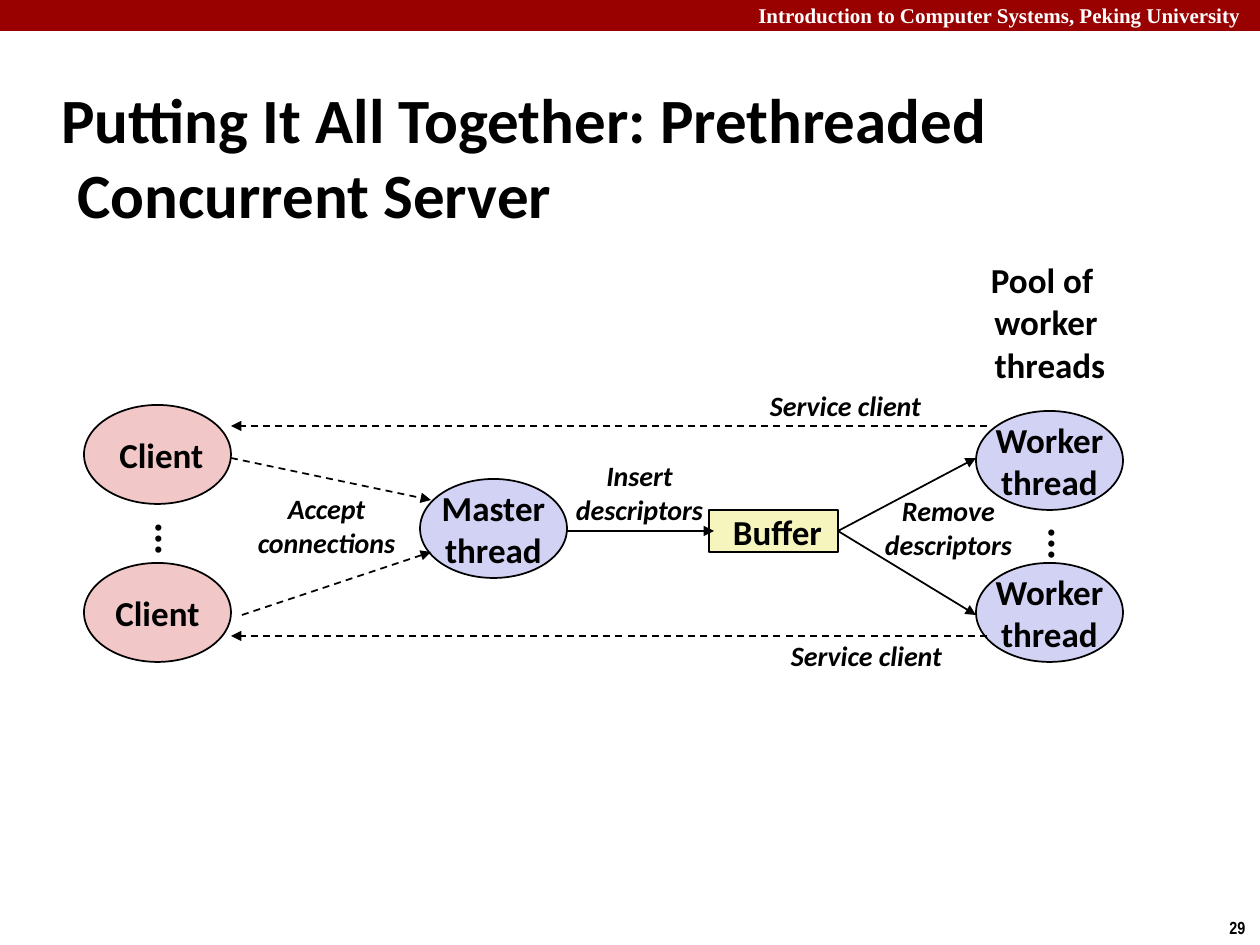
import pptx
import pptx.dml.color
import pptx.enum.dml
import pptx.enum.shapes
import pptx.enum.text
import pptx.oxml.ns
import pptx.util
from lxml import etree

SHAPE = pptx.enum.shapes.MSO_SHAPE
ALIGN = pptx.enum.text.PP_ALIGN
ANCHOR = pptx.enum.text.MSO_ANCHOR
EMU_PER_PX = 914400 / 126

INK, WHITE, RED = "000000", "FFFFFF", "990000"
LILAC, PINK, YELLOW = "D2D2F4", "F1C7C7", "F6F5BD"
NODE_W, NODE_H = 147, 99


def px(n):
    return pptx.util.Emu(round(n * EMU_PER_PX))


def color(value):
    return pptx.dml.color.RGBColor.from_string(value)


def add_child(parent, tag, **attrs):
    return etree.SubElement(parent, pptx.oxml.ns.qn(tag), attrs)


class Diagram:
    """Holds the text style and the slide being drawn."""

    font = "Calibri"
    line_width = pptx.util.Pt(1)

    def __init__(self, slide):
        self.slide = slide

    def fill_text(self, tf, text, size, align, ink=INK, italic=False, font=None):
        """Fill a text frame, one paragraph for each line of text."""
        for i, line in enumerate(text.split("\n")):
            p = tf.paragraphs[0] if i == 0 else tf.add_paragraph()
            p.add_run().text = line
            p.alignment = align
            p.font.name = font or self.font
            p.font.size = pptx.util.Pt(size)
            p.font.bold = True
            p.font.italic = italic
            p.font.color.rgb = color(ink)

    def bar(self, x, y, w, h, fill):
        sp = self.slide.shapes.add_shape(SHAPE.RECTANGLE, px(x), px(y), px(w), px(h))
        sp.shadow.inherit = False
        sp.fill.solid()
        sp.fill.fore_color.rgb = color(fill)
        sp.line.fill.background()

    def node(self, text, x, y, fill, w=NODE_W, h=NODE_H, shape=SHAPE.OVAL):
        sp = self.slide.shapes.add_shape(shape, px(x), px(y), px(w), px(h))
        sp.shadow.inherit = False
        sp.fill.solid()
        sp.fill.fore_color.rgb = color(fill)
        sp.line.color.rgb = color(INK)
        sp.line.width = self.line_width
        tf = sp.text_frame
        tf.word_wrap = False
        tf.vertical_anchor = ANCHOR.MIDDLE
        tf.margin_top = tf.margin_bottom = 0
        self.fill_text(tf, text, 20, ALIGN.CENTER)
        return sp

    def text(self, text, x, y, w, h, size=16, align=ALIGN.CENTER,
             anchor=ANCHOR.MIDDLE, wrap=False, grow=True, **style):
        tf = self.slide.shapes.add_textbox(px(x), px(y), px(w), px(h)).text_frame
        tf.word_wrap = wrap
        tf.vertical_anchor = anchor
        if grow:
            tf.auto_size = pptx.enum.text.MSO_AUTO_SIZE.SHAPE_TO_FIT_TEXT
        self.fill_text(tf, text, size, align, **style)
        return tf

    def title(self, text, x, y, w, h, hanging):
        tf = self.text(text, x, y, w, h, 36, ALIGN.LEFT, wrap=True, grow=False)
        pPr = tf.paragraphs[0]._p.get_or_add_pPr()
        pPr.set("marL", str(px(hanging)))
        pPr.set("indent", str(-px(hanging)))

    def label(self, text, x, y, w, h):
        self.text(text, x, y, w, h, italic=True)

    def vertical_dots(self, x, y, align):
        tf = self.text("...", x, y, 77, 47, 24, align)
        tf._txBody.bodyPr.set("vert", "eaVert")

    def arrow(self, start, end, dashed=False, source=None):
        """Draw an arrow, joined to the right side of source if given."""
        c = self.slide.shapes.add_connector(
            pptx.enum.shapes.MSO_CONNECTOR.STRAIGHT, *map(px, start + end))
        if source is not None:
            c.begin_connect(source, 3)
        c.line.color.rgb = color(INK)
        c.line.width = self.line_width
        if dashed:
            c.line.dash_style = pptx.enum.dml.MSO_LINE.DASH
        add_child(c.line._get_or_add_ln(), "a:tailEnd", type="triangle")
        add_child(c._element.spPr, "a:effectLst")


def main():
    prs = pptx.Presentation()
    prs.slide_width, prs.slide_height = px(1260), px(945)
    s = prs.slides.add_slide(prs.slide_layouts[6])
    d = Diagram(s)

    d.bar(0, 0, 1260, 31, RED)
    d.text("Introduction to Computer Systems, Peking University", 746, -4, 514, 38,
           12, ALIGN.LEFT, ANCHOR.TOP, wrap=True, ink=WHITE, font="Times New Roman")
    d.text("29", 1217, 911, 43, 34, 10, ALIGN.LEFT, ANCHOR.TOP, font="Arial Narrow")
    d.title("Putting It All Together: Prethreaded Concurrent Server",
            49, 81, 1179, 150, hanging=16)

    d.node("Master\nthread", 420, 479, LILAC)
    buffer = d.node(" Buffer", 709, 510, YELLOW, 129, 42, SHAPE.RECTANGLE)
    for y in (411, 563):
        d.node("Worker\nthread", 976, y, LILAC)
    for text, y in ((" Client", 405), ("Client", 563)):
        d.node(text, 84, y, PINK)
    d.vertical_dots(134, 510, ALIGN.CENTER)
    d.vertical_dots(1027, 515, ALIGN.LEFT)

    d.arrow((567, 531), (714, 531))
    for y in (458, 615):
        d.arrow((838, 531), (976, y), source=buffer)
    d.arrow((231, 458), (431, 500), dashed=True)
    d.arrow((242, 615), (431, 552), dashed=True)
    for y in (426, 636):
        d.arrow((987, y), (231, y), dashed=True)

    d.label("Accept\nconnections", 241, 485, 171, 81)
    d.label("Insert\ndescriptors", 559, 452, 161, 81)
    d.label("Remove\ndescriptors", 868, 487, 161, 81)
    for x, y in ((753, 382), (774, 632)):
        d.label("Service client", x, y, 185, 47)
    d.text("Pool of \nworker\n threads", 973, 252, 146, 140, 20)

    prs.save("out.pptx")


if __name__ == "__main__":
    main()
